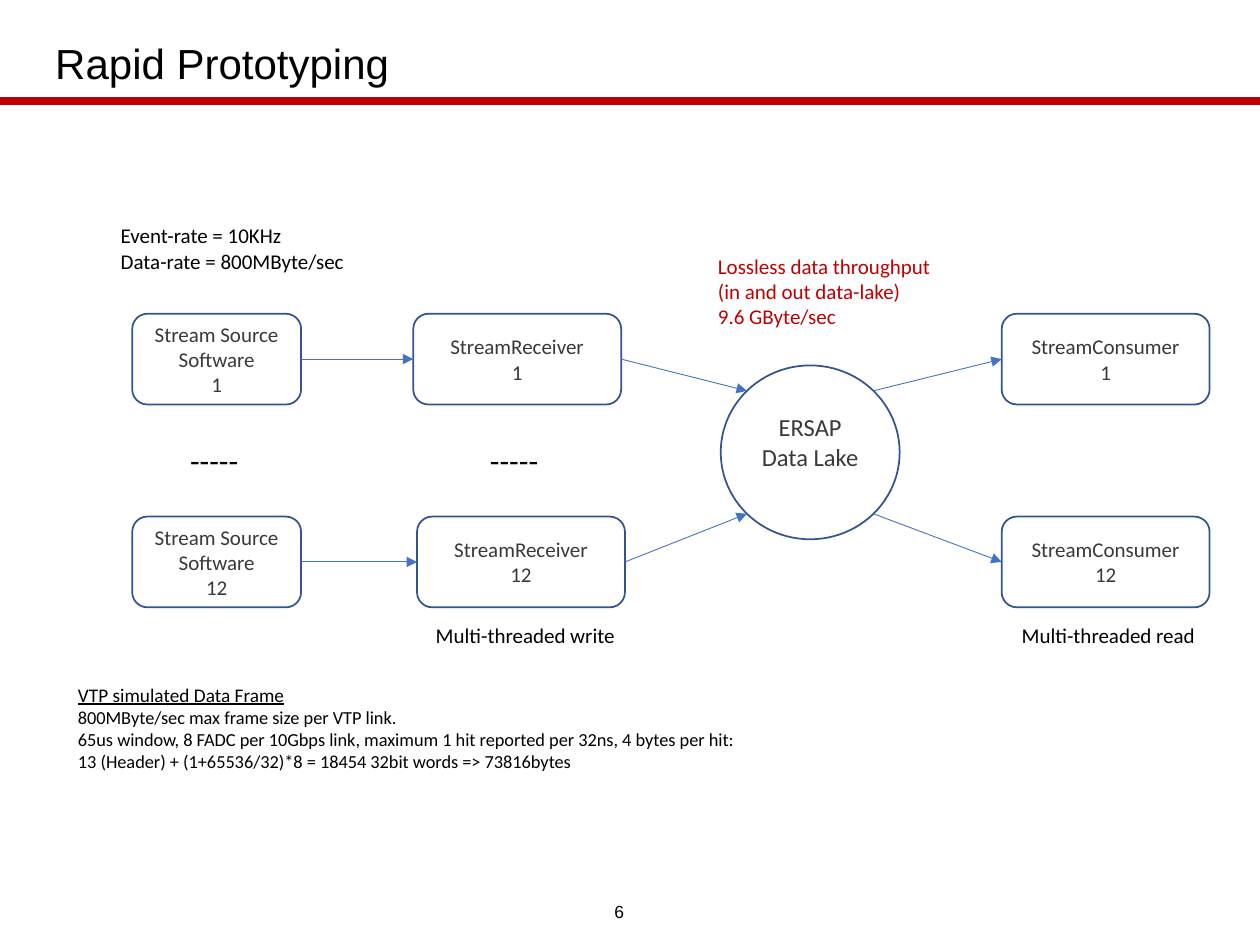
from dataclasses import dataclass
from math import sqrt

from pptx import Presentation
from pptx.dml.color import RGBColor
from pptx.enum.shapes import MSO_CONNECTOR, MSO_SHAPE
from pptx.enum.text import MSO_ANCHOR, MSO_AUTO_SIZE, PP_ALIGN
from pptx.oxml.ns import qn
from pptx.util import Inches, Pt
from lxml.etree import SubElement


@dataclass(frozen=True)
class Theme:
    black: str = "000000"
    accent: str = "C00000"
    outline: str = "325491"
    flow: str = "4472C4"
    label: str = "3B3838"
    heading_font: str = "Arial"
    body_font: str = "Calibri"
    title: float = 24
    dashes: float = 18
    lake: float = 14
    body: float = 12
    subhead: float = 11
    detail: float = 10.5
    number: float = 10


THEME = Theme()
WIDTH, HEIGHT = Inches(10), Inches(7.5)
UNIT = WIDTH / 100
TOP_ROW, BOTTOM_ROW = 24.9, 41
STAGE_HEIGHT = 7.2
SOURCE_COL, SOURCE_WIDTH = 10.5, 13.4
STAGE_WIDTH = 16.5
CONSUMER_COL = 79.5
LAKE = (57.2, 29, 14.2, 13.8)


def grid(*counts):
    return [round(count * UNIT) for count in counts]


def write(frame, lines, size, color=THEME.black, font=THEME.body_font,
          align=PP_ALIGN.LEFT, anchor=MSO_ANCHOR.TOP):
    frame.vertical_anchor = anchor
    for index, line in enumerate(lines):
        paragraph = frame.paragraphs[0] if index == 0 else frame.add_paragraph()
        paragraph.alignment = align
        run = paragraph.add_run()
        run.text = line
        run.font.name = font
        run.font.size = Pt(size)
        run.font.color.rgb = RGBColor.from_string(color)


def add_text(slide, cell, lines, size, wrap=True, **style):
    frame = slide.shapes.add_textbox(*grid(*cell)).text_frame
    frame.word_wrap = wrap
    frame.auto_size = MSO_AUTO_SIZE.NONE if wrap else MSO_AUTO_SIZE.SHAPE_TO_FIT_TEXT
    write(frame, lines, size, **style)
    return frame


def add_node(slide, cell, lines, size=THEME.body, kind=MSO_SHAPE.ROUNDED_RECTANGLE):
    node = slide.shapes.add_shape(kind, *grid(*cell))
    node.shadow.inherit = False
    node.fill.background()
    node.line.color.rgb = RGBColor.from_string(THEME.outline)
    node.line.width = Pt(1)
    node.text_frame.word_wrap = True
    write(node.text_frame, lines, size, THEME.label,
          align=PP_ALIGN.CENTER, anchor=MSO_ANCHOR.MIDDLE)
    return node


def add_line(slide, start, end, color, width):
    line = slide.shapes.add_connector(MSO_CONNECTOR.STRAIGHT, *start, *end)
    line.line.color.rgb = RGBColor.from_string(color)
    line.line.width = Pt(width)
    SubElement(line._element.spPr, qn("a:effectLst"))
    return line


def add_flow(slide, start, end):
    arrow = add_line(slide, start, end, THEME.flow, 0.5)
    SubElement(arrow.line._get_or_add_ln(), qn("a:tailEnd"), type="triangle")
    return arrow


def side(node, right):
    return node.left + right * node.width, node.top + node.height // 2


def rim(circle, across, down):
    reach = 1 / sqrt(2)
    return (round(circle.left + circle.width / 2 * (1 + across * reach)),
            round(circle.top + circle.height / 2 * (1 + down * reach)))


def add_header(slide):
    add_line(slide, grid(0, 8), grid(100, 8), THEME.accent, 4.5)
    title = add_text(slide, (3.4, 2.6, 92.6, 5.3), ["Rapid Prototyping"], THEME.title,
                     font=THEME.heading_font, anchor=MSO_ANCHOR.MIDDLE)
    title.paragraphs[0].line_spacing = 0.9


def add_stream(slide, lake, number, row, receiver_col, down):
    source = add_node(slide, (SOURCE_COL, row, SOURCE_WIDTH, STAGE_HEIGHT),
                      ["Stream Source", "Software", number])
    receiver = add_node(slide, (receiver_col, row, STAGE_WIDTH, STAGE_HEIGHT),
                        ["StreamReceiver", number])
    consumer = add_node(slide, (CONSUMER_COL, row, STAGE_WIDTH, STAGE_HEIGHT),
                        ["StreamConsumer", number])
    feed = add_flow(slide, side(source, 1), side(receiver, 0))
    feed.begin_connect(source, 3)
    feed.end_connect(receiver, 1)
    inflow = add_flow(slide, side(receiver, 1), rim(lake, -1, down))
    inflow.begin_connect(receiver, 3)
    outflow = add_flow(slide, rim(lake, 1, down), side(consumer, 0))
    outflow.end_connect(consumer, 1)


def add_frame_details(slide):
    frame = add_text(slide, (5.2, 53.7, 55.2, 8.2), [
        "VTP simulated Data Frame",
        "800MByte/sec max frame size per VTP link.",
        "65us window, 8 FADC per 10Gbps link, maximum 1 hit reported per 32ns, 4 bytes per hit:",
        "13 (Header) + (1+65536/32)*8 = 18454 32bit words => 73816bytes",
    ], THEME.detail, wrap=False)
    heading = frame.paragraphs[0].runs[0].font
    heading.size = Pt(THEME.subhead)
    heading.underline = True


def main():
    deck = Presentation()
    deck.slide_width, deck.slide_height = WIDTH, HEIGHT
    slide = deck.slides.add_slide(deck.slide_layouts[6])

    add_header(slide)
    lake = add_node(slide, LAKE, ["ERSAP", "Data Lake"], THEME.lake, MSO_SHAPE.OVAL)
    lake.text_frame.margin_bottom = Inches(0.22)
    add_stream(slide, lake, "1", TOP_ROW, 32.8, -1)
    add_stream(slide, lake, "12", BOTTOM_ROW, 33.1, 1)

    for col in (14.1, 37.9):
        add_text(slide, (col, 34.5, 5.9, 4), ["-----"], THEME.dashes)
    add_text(slide, (8.6, 17.2, 19.9, 5),
             ["Event-rate = 10KHz", "Data-rate = 800MByte/sec"], THEME.body, wrap=False)
    add_text(slide, (56, 19.6, 19.4, 7.1),
             ["Lossless data throughput", "(in and out data-lake)", "9.6 GByte/sec"],
             THEME.body, wrap=False, color=THEME.accent)
    for col, width, caption in ((33.6, 16.7, "Multi-threaded write"),
                                (80.1, 15.9, "Multi-threaded read")):
        add_text(slide, (col, 48.9, width, 3), [caption], THEME.body, wrap=False)

    add_frame_details(slide)
    add_text(slide, (46.2, 70.7, 5.9, 3.3), ["6"], THEME.number, font=THEME.heading_font,
             align=PP_ALIGN.CENTER, anchor=MSO_ANCHOR.MIDDLE)
    deck.save("out.pptx")


if __name__ == "__main__":
    main()
